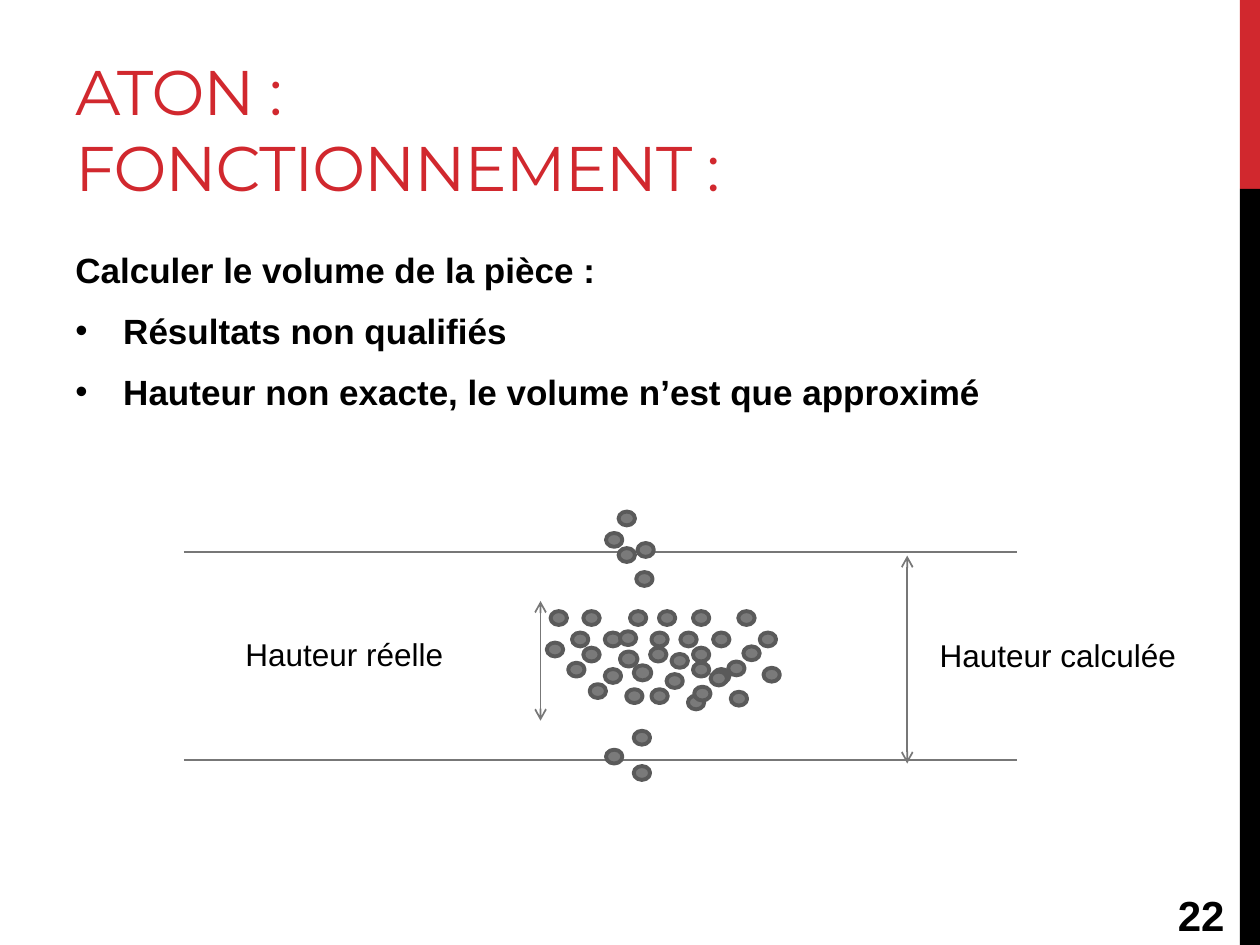
import pptx
import pptx.util
import pptx.dml.color
import pptx.enum.shapes
import pptx.enum.text
import pptx.oxml
import pptx.oxml.ns

Inches = pptx.util.Inches
Pt = pptx.util.Pt
SHAPES = pptx.enum.shapes.MSO_SHAPE
ANCHORS = pptx.enum.text.MSO_ANCHOR

COLOURS = {
    "accent": "D1282E",
    "black": "000000",
    "line": "777777",
    "dot": "7A7A7A",
    "dot edge": "5A5A5A",
}

TITLE_FORMAT = {"name": "Montserrat", "size": Pt(36)}
BODY_FORMAT = {"name": "Arial", "size": Pt(20), "bold": True}
LABEL_FORMAT = {"name": "Arial", "size": Pt(18)}
NUMBER_FORMAT = {"name": "Arial", "size": Pt(24), "bold": True}

DOT_SIZE = (0.13, 0.11)
LARGE_DOT_SIZE = (0.14, 0.12)
ROOM_DOTS = [
    (4.63, 4.85), (4.34, 5.1), (4.37, 4.85), (4.63, 5.14), (5, 4.85),
    (5.5, 4.85), (5.16, 5.14), (5.23, 4.85), (5.5, 5.14), (5.86, 4.85),
    (4.8, 5.02), (4.51, 5.26), (4.54, 5.02), (4.8, 5.31), (5.17, 5.02),
    (4.92, 5.01), (4.68, 5.43), (4.97, 5.47), (5.33, 5.19), (5.66, 5.02),
    (5.5, 5.26), (5.4, 5.02), (5.66, 5.31), (6.03, 5.02), (5.29, 5.35),
    (5.17, 5.47), (5.46, 5.52), (5.9, 5.13), (5.78, 5.25), (6.06, 5.3),
    (5.64, 5.33), (5.51, 5.45), (5.8, 5.49),
]
LARGE_ROOM_DOTS = [(4.92, 5.17), (5.03, 5.28)]
FLOOR_DOTS = [(5.03, 5.8), (4.81, 5.95), (5.03, 6.08)]
CEILING_DOTS = [(4.91, 4.06), (4.91, 4.35), (5.06, 4.31), (4.81, 4.23), (5.05, 4.54)]


def colour(name):
    return pptx.dml.color.RGBColor.from_string(COLOURS[name])


def set_values(target, values):
    for name, value in values.items():
        setattr(target, name, value)


def add_figure(page, kind, place, fill, edge=None):
    figure = page.shapes.add_shape(kind, *map(Inches, place))
    figure.shadow.inherit = False
    figure.fill.solid()
    figure.fill.fore_color.rgb = colour(fill)
    if edge:
        figure.line.color.rgb = colour(edge)
        figure.line.width = Pt(2.25)
    else:
        figure.line.fill.background()


def add_dots(page, places, size=DOT_SIZE):
    for place in places:
        add_figure(page, SHAPES.FLOWCHART_CONNECTOR, place + size, "dot", "dot edge")


def add_line(page, start, end, arrows=False):
    line = page.shapes.add_connector(
        pptx.enum.shapes.MSO_CONNECTOR.STRAIGHT, *map(Inches, start + end)
    )
    line.line.color.rgb = colour("line")
    line.line.width = Pt(1)
    properties = line._element.spPr
    if arrows:
        outline = line.line._get_or_add_ln()
        for tag in ("a:headEnd", "a:tailEnd"):
            end_mark = pptx.oxml.ns.qn(tag)
            outline.append(outline.makeelement(end_mark, {"type": "arrow"}))
    properties.append(properties.makeelement(pptx.oxml.ns.qn("a:effectLst"), {}))


def add_box(page, place, anchor=ANCHORS.TOP):
    box = page.shapes.add_textbox(*map(Inches, place))
    set_values(box.text_frame, {"word_wrap": True, "vertical_anchor": anchor})
    return box.text_frame


def add_span(para, text, values, tint="black"):
    span = para.add_run()
    span.text = text
    set_values(span.font, values)
    span.font.color.rgb = colour(tint)
    return span


def add_title(page, lines):
    para = add_box(page, (0.5, 0.17, 6.33, 1.5), ANCHORS.BOTTOM).paragraphs[0]
    for index, text in enumerate(lines):
        if index:
            para.add_line_break()
        span = add_span(para, text, TITLE_FORMAT, "accent")
        span._r.get_or_add_rPr().set("spc", "-60")


def add_bullet(para):
    properties = para._p.get_or_add_pPr()
    indent = Inches(0.38)
    properties.set("marL", str(indent))
    properties.set("indent", str(-indent))
    for tag, values in (("a:buFont", {"typeface": "Arial"}), ("a:buChar", {"char": "•"})):
        properties.append(properties.makeelement(pptx.oxml.ns.qn(tag), values))


def add_body(page, heading, points):
    frame = add_box(page, (0.5, 1.92, 8.33, 4.98))
    first = frame.paragraphs[0]
    first.space_after = Pt(6)
    add_span(first, heading, BODY_FORMAT)
    for point in points:
        para = frame.add_paragraph()
        add_bullet(para)
        set_values(para, {"space_before": Pt(5), "space_after": Pt(6)})
        add_span(para, point, BODY_FORMAT)


def add_label(page, text, place, values, anchor=ANCHORS.TOP):
    add_span(add_box(page, place, anchor).paragraphs[0], text, values)


def main():
    deck = pptx.Presentation()
    set_values(deck, {"slide_width": Inches(10), "slide_height": Inches(7.5)})
    page = deck.slides.add_slide(deck.slide_layouts[6])

    add_figure(page, SHAPES.RECTANGLE, (9.84, 0, 0.16, 1.5), "accent")
    add_figure(page, SHAPES.RECTANGLE, (9.84, 1.5, 0.16, 6), "black")
    add_title(page, ["ATON :", "FONCTIONNEMENT :"])
    add_label(page, "22", (9.25, 7.06, 0.63, 0.4), NUMBER_FORMAT, ANCHORS.MIDDLE)
    add_body(
        page,
        "Calculer le volume de la pièce :",
        ["Résultats non qualifiés", "Hauteur non exacte, le volume n’est que approximé"],
    )

    for height in (4.38, 6.03):
        add_line(page, (1.46, height), (8.07, height))
    add_dots(page, LARGE_ROOM_DOTS, LARGE_DOT_SIZE)
    for places in (ROOM_DOTS, FLOOR_DOTS, CEILING_DOTS):
        add_dots(page, places)

    add_line(page, (7.2, 4.41), (7.2, 6.06), arrows=True)
    add_line(page, (4.29, 4.77), (4.29, 5.72), arrows=True)
    add_label(page, "Hauteur calculée", (7.36, 5, 2.2, 0.4), LABEL_FORMAT)
    add_label(page, "Hauteur réelle", (1.85, 4.99, 2.2, 0.4), LABEL_FORMAT)

    deck.save("out.pptx")


if __name__ == "__main__":
    main()
